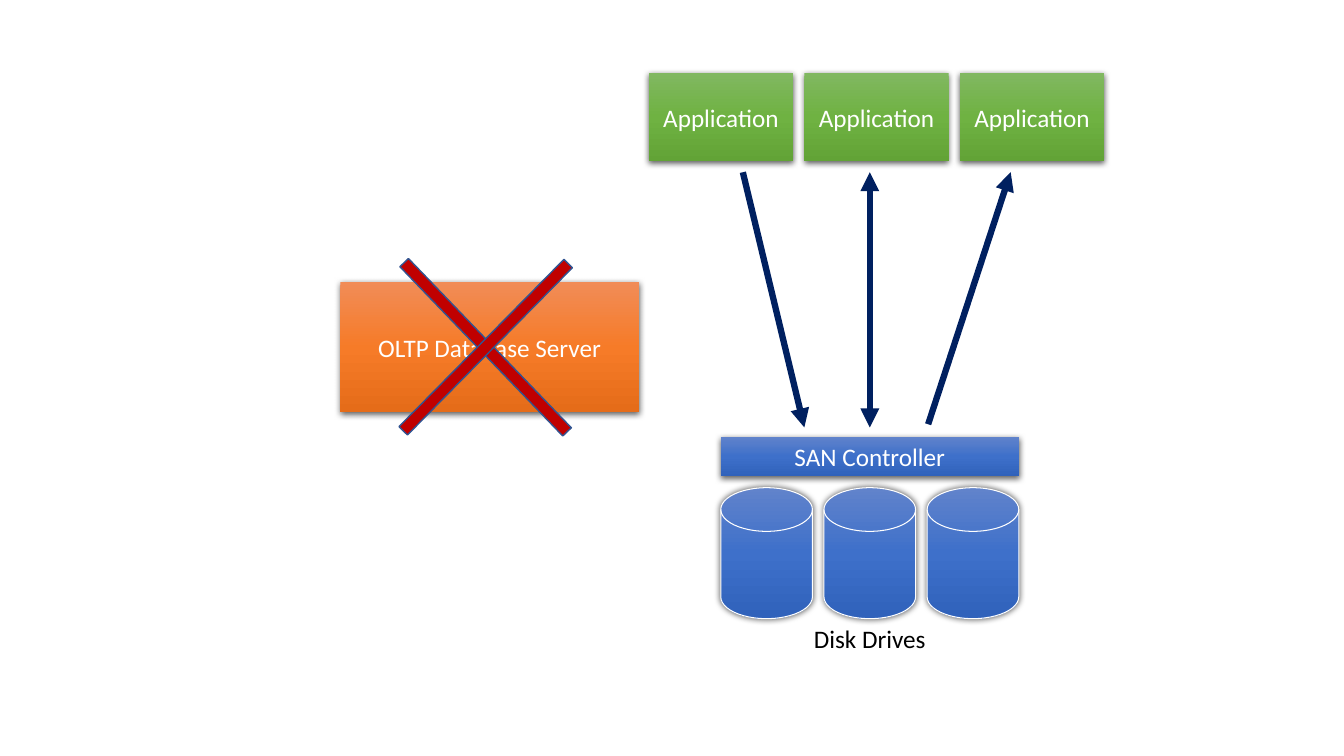
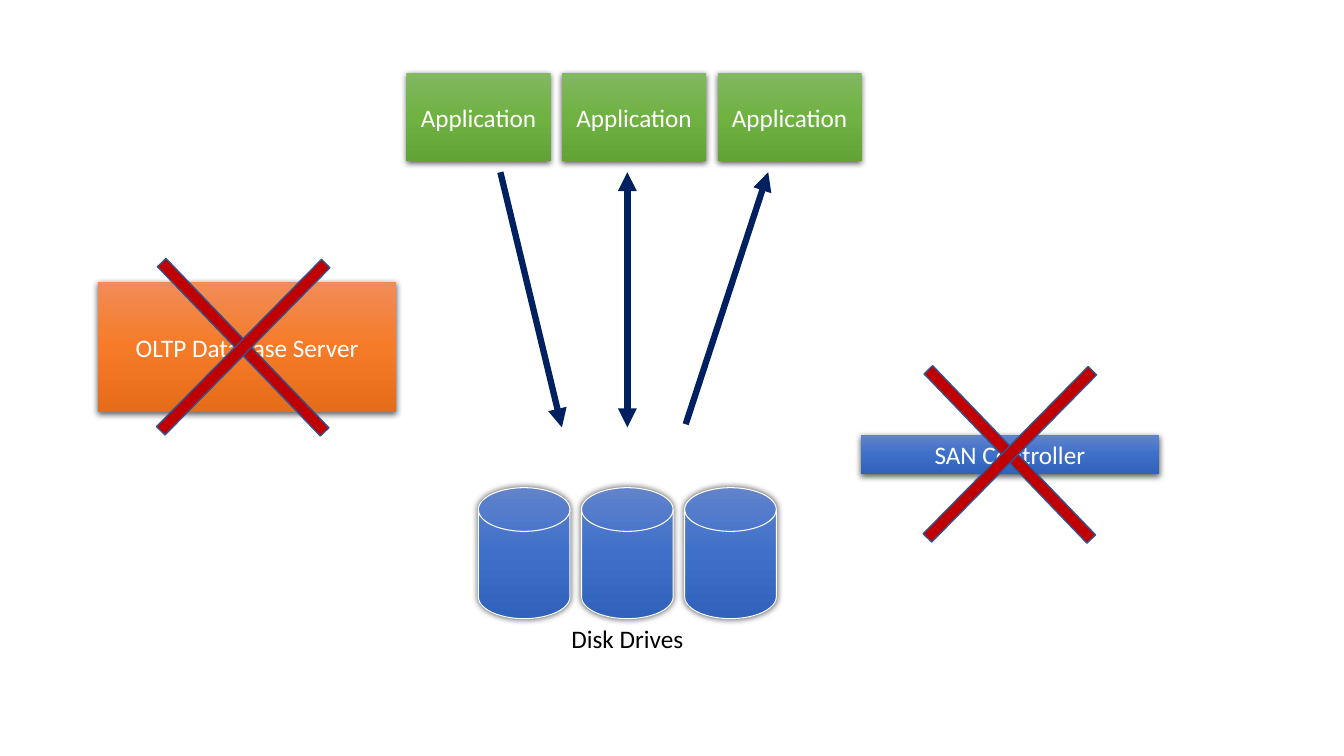
from pptx import Presentation
from pptx.dml.color import RGBColor
from pptx.enum.shapes import MSO_CONNECTOR, MSO_SHAPE
from pptx.enum.text import MSO_ANCHOR, PP_ALIGN
from pptx.oxml import parse_xml
from pptx.oxml.ns import nsdecls, qn
from pptx.util import Cm, Pt

# Content: centre of the stack on each slide, and the removed controller
APPLICATIONS = ["Application"] * 3
SERVER, CONTROLLER, DRIVES = "OLTP Database Server", "SAN Controller", "Disk Drives"
DRIVE_COUNT = 3
SLIDES = [
    {"axis": 21.92, "controller": (21.92, 11.5), "controller_removed": False},
    {"axis": 15.81, "controller": (25.45, 11.45), "controller_removed": True},
]
# Arrows: start and end as (offset from axis, y), then arrowheads at start, end
ARROWS = [
    ((-3.2, 4.34), (-1.65, 10.77), False, True),
    ((0, 4.34), (0, 10.77), True, True),
    ((3.55, 4.34), (1.47, 10.69), True, False),
]

# Look
FONT = "Calibri"
WHITE, BLACK = RGBColor(255, 255, 255), RGBColor(0, 0, 0)
NAVY, RED = RGBColor(0x00, 0x20, 0x60), RGBColor(0xC0, 0, 0)
BAR_EDGE = RGBColor(0x32, 0x54, 0x91)


def shades(*codes):
    return [RGBColor.from_string(code) for code in codes]


GREEN = shades("81B861", "6FB242", "62A336")
ORANGE = shades("F18C57", "F67B28", "E56C19")
BLUE = shades("6183CB", "3E70CA", "3062BB")

# Sizes in cm
APP_SIZE, SERVER_SIZE, CONTROLLER_SIZE = (3.63, 2.24), (7.52, 3.28), (7.52, 0.99)
DRIVE_SIZE, LABEL_SIZE, BAR_SIZE = (2.31, 3.3), (5.61, 1.02), (0.3, 5.92)
GAP = 0.29
APP_Y, SERVER_Y, DRIVE_Y, LABEL_Y = 2.95, 8.75, 13.94, 16.08
APP_SHIFT, SERVER_SHIFT = 0.17, -9.58


def around(centre, size):
    """Left, top, width and height of a box around its centre."""
    (x, y), (width, height) = centre, size
    return Cm(x - width / 2), Cm(y - height / 2), Cm(width), Cm(height)


def row(centre_x, count, width):
    """Centres of equal parts set side by side."""
    return [centre_x + (i - (count - 1) / 2) * (width + GAP) for i in range(count)]


def write(shape, text, color=WHITE, size=18, anchor=MSO_ANCHOR.MIDDLE):
    frame = shape.text_frame
    frame.word_wrap = True
    frame.vertical_anchor = anchor
    paragraph = frame.paragraphs[0]
    paragraph.alignment = PP_ALIGN.CENTER
    run = paragraph.add_run()
    run.text = text
    run.font.name, run.font.size, run.font.color.rgb = FONT, Pt(size), color


def shaded(slide, kind, centre, size, colors, text="", edge=None, drop=1.5):
    shape = slide.shapes.add_shape(kind, *around(centre, size))
    if edge is None:
        shape.line.fill.background()
    else:
        shape.line.color.rgb, shape.line.width = edge, Pt(0.75)
    # Vertical gradient, placed right after the geometry
    stops = "".join(f'<a:gs pos="{i * 50000}"><a:srgbClr val="{color}"/></a:gs>'
                    for i, color in enumerate(colors))
    properties = shape.element.spPr
    properties.find(qn("a:prstGeom")).addnext(parse_xml(
        f'<a:gradFill {nsdecls("a")} rotWithShape="1"><a:gsLst>{stops}</a:gsLst>'
        '<a:lin ang="5400000" scaled="0"/></a:gradFill>'))
    # Soft shadow
    shape.shadow.inherit = False
    properties.find(qn("a:effectLst")).append(parse_xml(
        f'<a:outerShdw {nsdecls("a")} blurRad="{Pt(4.5)}" dist="{Pt(drop)}" '
        'dir="5400000" algn="ctr" rotWithShape="0"><a:srgbClr val="000000">'
        '<a:alpha val="63000"/></a:srgbClr></a:outerShdw>'))
    if text:
        write(shape, text)


def arrow(slide, axis, start, end, head, tail):
    line = slide.shapes.add_connector(
        MSO_CONNECTOR.STRAIGHT, Cm(axis + start[0]), Cm(start[1]),
        Cm(axis + end[0]), Cm(end[1]))
    line.line.color.rgb, line.line.width = NAVY, Pt(4.5)
    outline = line.line._get_or_add_ln()
    for tag, shown in (("headEnd", head), ("tailEnd", tail)):
        if shown:
            outline.append(parse_xml(f'<a:{tag} {nsdecls("a")} type="triangle"/>'))
    line.element.spPr.append(parse_xml(f'<a:effectLst {nsdecls("a")}/>'))


def cross_out(slide, centre):
    cross = slide.shapes.add_group_shape()
    for angle in (316.1, 44.6):
        bar = cross.shapes.add_shape(MSO_SHAPE.RECTANGLE, *around(centre, BAR_SIZE))
        bar.rotation = angle
        bar.shadow.inherit = False
        bar.fill.solid()
        bar.fill.fore_color.rgb = RED
        bar.line.color.rgb, bar.line.width = BAR_EDGE, Pt(1)


def build(slide, axis, controller, controller_removed):
    for ends in ARROWS:
        arrow(slide, axis, *ends)
    # Storage
    for x in row(axis, DRIVE_COUNT, DRIVE_SIZE[0]):
        shaded(slide, MSO_SHAPE.FLOWCHART_MAGNETIC_DISK, (x, DRIVE_Y), DRIVE_SIZE,
               BLUE, edge=WHITE, drop=0)
    label = slide.shapes.add_textbox(*around((axis, LABEL_Y), LABEL_SIZE))
    write(label, DRIVES, color=BLACK, anchor=MSO_ANCHOR.TOP)
    # Controller, server and applications
    server = (axis + SERVER_SHIFT, SERVER_Y)
    boxes = [(controller, CONTROLLER_SIZE, BLUE, CONTROLLER),
             (server, SERVER_SIZE, ORANGE, SERVER)]
    app_centres = row(axis + APP_SHIFT, len(APPLICATIONS), APP_SIZE[0])
    boxes += [((x, APP_Y), APP_SIZE, GREEN, name)
              for x, name in zip(app_centres, APPLICATIONS)]
    for box in boxes:
        shaded(slide, MSO_SHAPE.FLOWCHART_PROCESS, *box)
    # Removed parts
    cross_out(slide, (server[0] - 0.1, server[1]))
    if controller_removed:
        cross_out(slide, controller)


deck = Presentation()
deck.slide_width, deck.slide_height = Cm(33.87), Cm(19.05)
for layout in SLIDES:
    build(deck.slides.add_slide(deck.slide_layouts[6]), **layout)
deck.save("out.pptx")
